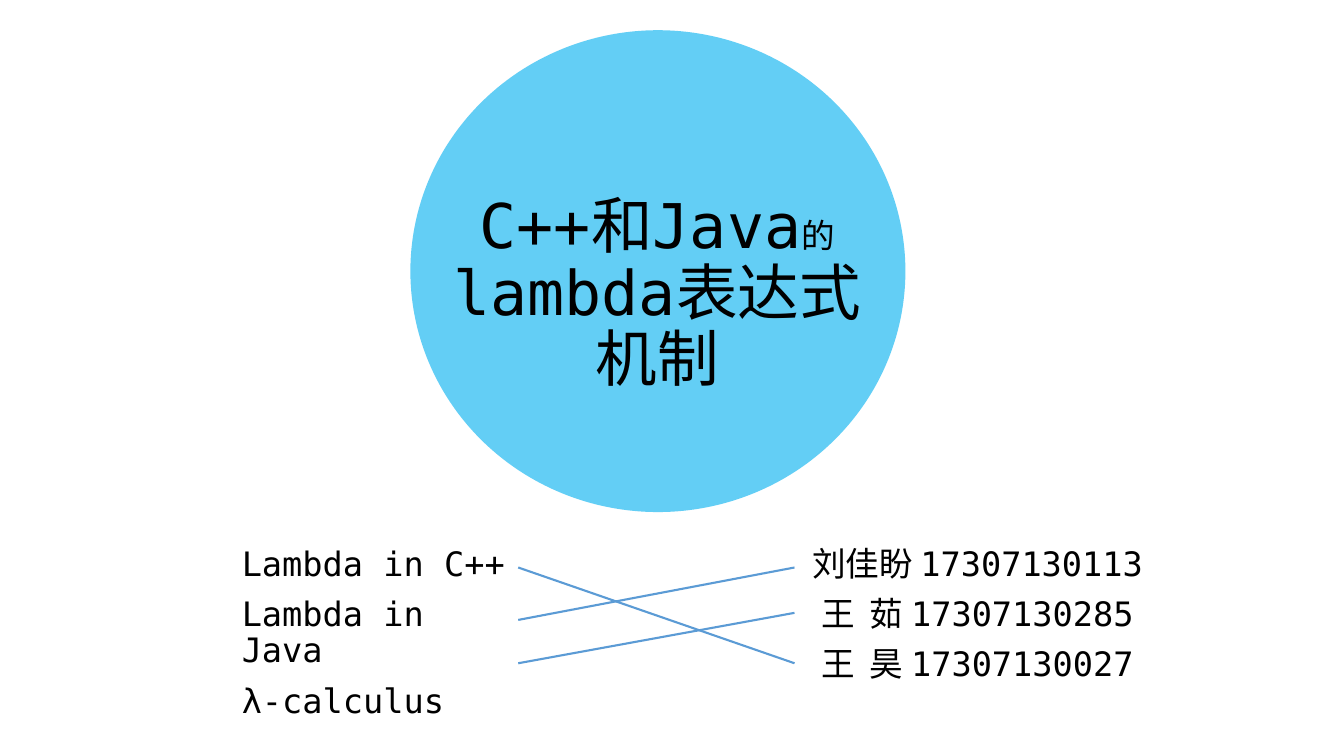
from pptx import Presentation
from pptx.dml.color import RGBColor
from pptx.enum.lang import MSO_LANGUAGE_ID as LANG
from pptx.enum.shapes import MSO_CONNECTOR, MSO_SHAPE
from pptx.enum.text import MSO_ANCHOR, MSO_AUTO_SIZE, PP_ALIGN
from pptx.oxml.ns import qn
from pptx.util import Inches, Pt
from lxml.etree import SubElement

FONT = "DejaVu Sans Mono"
TITLE_LINES = [
    [("C++和Java", 44), ("的", 24)],
    [("lambda表达式", 44)],
    [("机制", 44)],
]
TOPICS = ["Lambda in C++", "Lambda in Java", "λ-calculus"]
AUTHORS = ["刘佳盼 17307130113", "王  茹 17307130285", "王  昊 17307130027"]
LINK_LEFT, LINK_RIGHT = 5.14, 7.88
LINK_HEIGHTS = [(6.58, 6.08), (5.63, 6.58), (6.15, 5.63)]


def color(hex_code):
    return RGBColor.from_string(hex_code)


def place(shape, left, top, width, height):
    shape.left, shape.top = Inches(left), Inches(top)
    shape.width, shape.height = Inches(width), Inches(height)


def format_run(r, size):
    r.font.name = FONT
    r.font.size = Pt(size)
    r.font.color.rgb = color("000000")
    r.font.language_id = LANG.SIMPLIFIED_CHINESE


def prepare_frame(tf, anchor):
    tf.word_wrap = True
    tf.auto_size = MSO_AUTO_SIZE.NONE
    tf.vertical_anchor = anchor


def fill_title(tf):
    prepare_frame(tf, MSO_ANCHOR.BOTTOM)
    p = tf.paragraphs[0]
    p.alignment = PP_ALIGN.CENTER
    p.line_spacing = 0.9
    for i, line in enumerate(TITLE_LINES):
        if i:
            p.add_line_break()
        for text, size in line:
            r = p.add_run()
            r.text = text
            format_run(r, size)


def fill_list(tf, items, alignment):
    prepare_frame(tf, MSO_ANCHOR.TOP)
    tf.text = "\n".join(items)
    for p in tf.paragraphs:
        p.alignment = alignment
        p.line_spacing = 0.9
        p.space_before = Pt(10)
        for r in p.runs:
            format_run(r, 24)


def add_circle(s):
    circle = s.shapes.add_shape(MSO_SHAPE.OVAL, Inches(4.07), Inches(0.3),
                                Inches(4.91), Inches(4.78))
    circle.shadow.inherit = False
    circle.line.fill.background()
    circle.fill.solid()
    circle.fill.fore_color.rgb = color("00B0F0")
    fill_color = circle.element.spPr.find(qn("a:solidFill"))[0]
    SubElement(fill_color, qn("a:alpha"), val="61000")
    return circle


def add_link(s, start, end):
    """Draw a line from a topic to its author."""
    link = s.shapes.add_connector(MSO_CONNECTOR.STRAIGHT,
                                  Inches(LINK_LEFT), Inches(start),
                                  Inches(LINK_RIGHT), Inches(end))
    link.line.color.rgb = color("5B9BD5")
    link.line.width = Pt(1.5)
    SubElement(link.element.spPr, qn("a:effectLst"))


def main():
    prs = Presentation()
    prs.slide_width, prs.slide_height = Inches(13.33), Inches(7.5)
    s = prs.slides.add_slide(prs.slide_layouts[0])

    title, authors = s.shapes.title, s.placeholders[1]
    title.element.addprevious(add_circle(s).element)
    place(title, 3.56, 1.4, 5.92, 2.57)
    fill_title(title.text_frame)
    place(authors, 7.48, 5.38, 4.43, 1.85)
    fill_list(authors.text_frame, AUTHORS, PP_ALIGN.CENTER)

    topics = s.shapes.add_textbox(Inches(2.3), Inches(5.38),
                                  Inches(2.84), Inches(1.54))
    fill_list(topics.text_frame, TOPICS, PP_ALIGN.LEFT)
    for start, end in LINK_HEIGHTS:
        add_link(s, start, end)

    prs.save("out.pptx")


if __name__ == "__main__":
    main()
